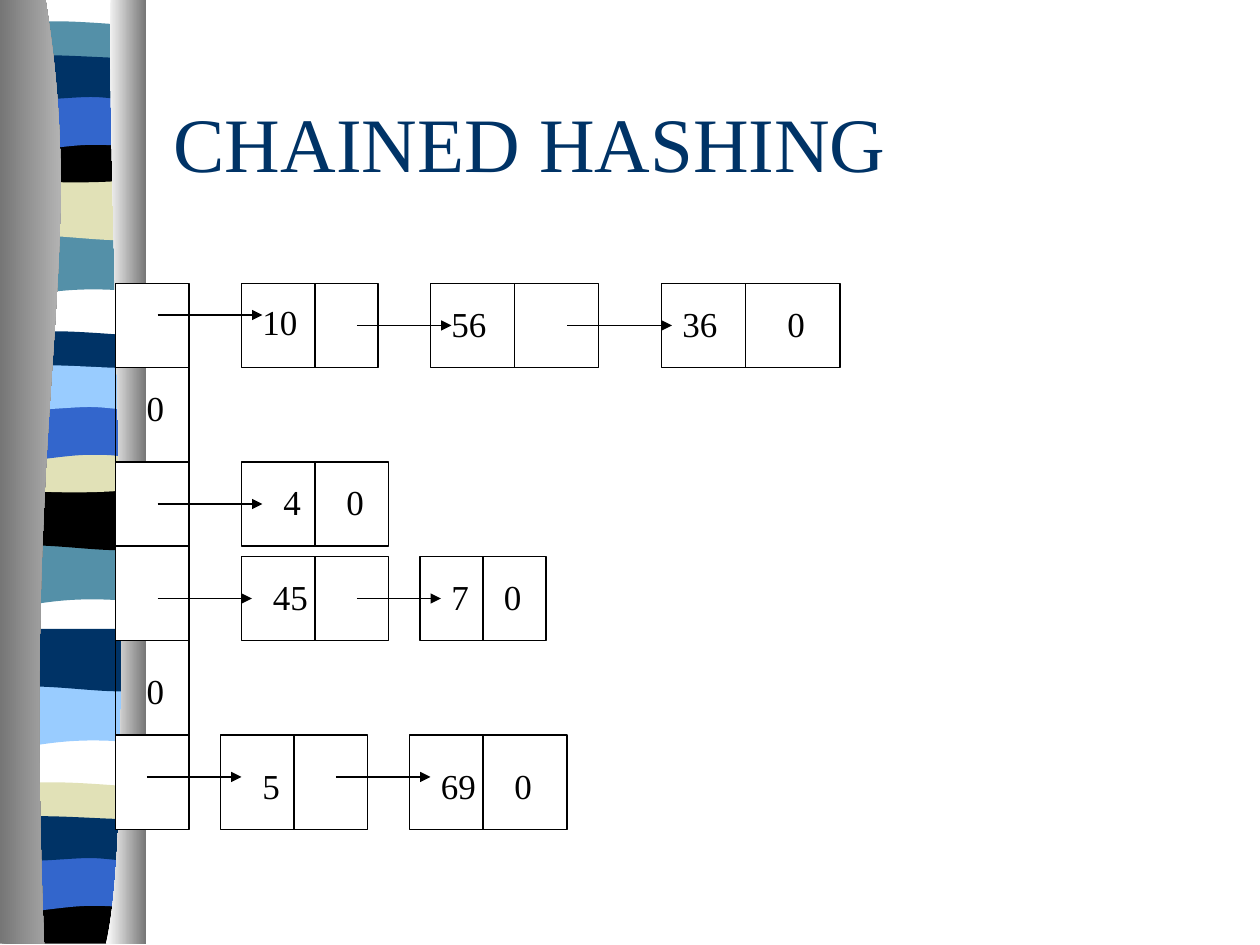
"""Build the chained hashing slide."""
from lxml import etree
from pptx import Presentation
from pptx import util as u
from pptx.dml.color import RGBColor
from pptx.enum import shapes as s, text as t
from pptx.oxml.ns import qn

FONT = "Times New Roman"
LEFT, RIGHT = 0.06, 1.14
WAVES = {
    "dip": ([(RIGHT, 0.47), (0.39, 0.39), (0.24, 0.55), (LEFT, 0.47)], []),
    "roll": ([(RIGHT, 0.47), (0.96, 0.55), (0.39, 0.42), (LEFT, 0.47)], []),
    "thin": ([(RIGHT, 0.24), (0.96, 0.28), (0.24, 0.28), (LEFT, 0.24)],
             [(LEFT, 0), (0.12, -0.05), (0.29, -0.04), (0.47, -0.04),
              (0.65, -0.04), (1, -0.01), (RIGHT, 0)]),
    "bowl": ([(RIGHT, 0.33), (0.96, 0.38), (0.24, 0.38), (LEFT, 0.33)],
             [(LEFT, 0), (0.72, 0.05), (0.91, 0), (RIGHT, 0)]),
    "last": ([(RIGHT, 0.37), (LEFT, 0.37)],
             [(LEFT, 0), (0.72, 0.05), (0.91, 0), (RIGHT, 0)]),
    "arch": ([(RIGHT, 0.47), (0.97, 0.41), (0.9, 0.41), (0.72, 0.41),
              (0.54, 0.41), (0.22, 0.47), (LEFT, 0.47)], []),
    "flat": ([(RIGHT, 0.31), (1.07, 0.36), (0.9, 0.31), (0.72, 0.31),
              (0.54, 0.31), (0.17, 0.36), (LEFT, 0.31)],
             [(LEFT, 0), (0.21, -0.05), (0.79, 0), (0.97, 0),
              (1.15, 0), (1.1, 0), (RIGHT, 0)]),
}
BANDS = [
    ("dip", 1.85, ["5490A8", "5490A8", "99CCFF"]),
    ("roll", 1.41, ["E1E1B7", "000000", "003366"]),
    ("thin", 0.21, ["5490A8", "003366", "E1E1B7"]),
    ("bowl", 1.08, ["000000", "E1E1B7", "000000"]),
    ("arch", 0.74, ["3366CC", "3366CC", "3366CC"]),
    ("flat", 0.46, ["003366", "99CCFF", "003366"]),
]
SLOTS = [(27, 8, True), (35, 9, False), (44, 8, True),
         (52, 9, True), (61, 9, False), (70, 9, True)]
CELLS = [(23, 7), (30, 6), (41, 8), (49, 8), (63, 8), (71, 9)]
NODES = [(23, 44, 14, 8, 30), (23, 53, 14, 8, 30), (40, 53, 12, 8, 46),
         (21, 70, 14, 9, 28), (39, 70, 15, 9, 46)]
ARROWS = [(15, 25, 30), (34, 43, 31), (54, 64, 31), (15, 25, 48),
          (15, 24, 57), (34, 42, 57), (14, 23, 74), (32, 41, 74)]
KEYS = [
    (27.8, [(25, "10")]),
    (28, [(43, "56"), (65, "36"), (75, "0")]),
    (36, [(14, "0")]),
    (45, [(27, "4"), (33, "0")]),
    (54, [(26, "45"), (43, "7"), (48, "0")]),
    (63, [(14, "0")]),
    (72, [(25, "5"), (42, "69"), (49, "0")]),
]


def inch(num):
    """Turn inches into a length."""
    return u.Cm(2.54 * num)


def step(num):
    """Turn grid steps of a twelfth of an inch into a length."""
    return inch(num / 12)


def paint(code):
    """Turn a hex string into a colour."""
    return RGBColor.from_string(code)


def curve(pts):
    """Split points into a start and cubic curves of three points."""
    return [pts[:1]] + [pts[i:i + 3] for i in range(1, len(pts), 3)]


def outline(slide, parts, dx=0, dy=0):
    """Draw a closed shape; parts of three points become curves."""
    ends = [(inch(x + dx), inch(y + dy)) for part in parts for x, y in part]
    form = slide.shapes.build_freeform(*ends[0])
    form.add_line_segments(ends[1:], close=True)
    shape = form.convert_to_shape()
    marks = iter(list(shape._element.iter(qn("a:moveTo"), qn("a:lnTo"))))
    for part in parts:
        group = [next(marks) for _ in part]
        if len(group) == 3:
            bend = etree.Element(qn("a:cubicBezTo"))
            group[0].addprevious(bend)
            for mark in group:
                bend.append(mark[0])
                mark.getparent().remove(mark)
    shape.shadow.inherit = False
    shape.line.fill.background()
    return shape


def band(slide, kind, top, code, shift):
    """Draw one wavy band of the ribbon."""
    base, cap = WAVES[kind]
    low = [[pt] for pt in base] if kind == "last" else curve(base)
    high = curve(cap) if cap else [[(LEFT, 0)], [(RIGHT, 0)]]
    shape = outline(slide, low + high, shift, top)
    shape.fill.solid()
    shape.fill.fore_color.rgb = paint(code)


def pillar(slide, edge, side, codes):
    """Draw a shaded pillar with one curved edge."""
    shape = outline(slide, curve(edge) + [[(side, 7.49)], [(side, -0.01)]])
    shape.fill.gradient()
    shape.fill.gradient_angle = 0
    for stop, code in zip(shape.fill.gradient_stops, codes):
        stop.color.rgb = paint(code)


def box(slide, x, y, wide, high, fill=None):
    """Draw a thin black box on the grid."""
    shape = slide.shapes.add_shape(s.MSO_SHAPE.RECTANGLE, step(x), step(y),
                                   step(wide), step(high))
    shape.shadow.inherit = False
    shape.line.color.rgb = paint("000000")
    shape.line.width = u.Pt(0.75)
    if fill:
        shape.fill.solid()
        shape.fill.fore_color.rgb = paint(fill)
    else:
        shape.fill.background()
    return shape


def line(slide, x, y, right, low, head=False):
    """Draw a thin black line, with an arrowhead if asked."""
    link = slide.shapes.add_connector(s.MSO_CONNECTOR.STRAIGHT, step(x),
                                      step(y), step(right), step(low))
    link.line.color.rgb = paint("000000")
    link.line.width = u.Pt(0.75)
    if head:
        etree.SubElement(link.line._get_or_add_ln(), qn("a:tailEnd"),
                         type="triangle")
    etree.SubElement(link._element.spPr, qn("a:effectLst"))
    return link


def node(slide, x, y, wide, high, mid):
    """Draw a list node split into key and link."""
    shape = box(slide, x, y, wide, high)
    link = line(slide, mid, y, mid, y + high)
    if 2 * mid == 2 * x + wide:
        link.begin_connect(shape, 0)
        link.end_connect(shape, 2)


def write(slide, words, x, y, wide, high, size=20, code="000000",
          wrap=False, anchor=t.MSO_ANCHOR.TOP):
    """Place a line of text, measured in inches."""
    frame = slide.shapes.add_textbox(inch(x), inch(y), inch(wide),
                                     inch(high)).text_frame
    frame.word_wrap = wrap
    frame.vertical_anchor = anchor
    run = frame.paragraphs[0].add_run()
    run.text = words
    run.font.size = u.Pt(size)
    run.font.name = FONT
    run.font.color.rgb = paint(code)


def ribbon(slide):
    """Draw the banded ribbon and its pillars."""
    for i in range(3):
        for kind, top, codes in BANDS:
            wide = kind in ("dip", "roll")
            drop = (0, 2.46, 3.58 if wide else 6.04)[i]
            shift = -0.01 if i == 1 or i == 2 and not wide else 0
            name = "last" if i == 2 and kind == "bowl" else kind
            band(slide, name, top + drop, codes[i], shift)
    pillar(slide, [(0.36, -0.01), (0.71, 2.16), (0.17, 2.96), (0.35, 7.49)],
           0, ["767676", "D1D1D1"])
    pillar(slide, [(0.88, -0.01), (0.84, 1.25), (1.11, 6.46), (0.84, 7.49)],
           1.16, ["FFFFFF", "767676"])


def main():
    """Build and save the slide."""
    deck = Presentation()
    deck.slide_width, deck.slide_height = inch(10), inch(7.5)
    slide = deck.slides.add_slide(deck.slide_layouts[6])
    ribbon(slide)
    write(slide, "CHAINED HASHING", 1.28, 0.5, 8.5, 1.25, size=44,
          code="003366", wrap=True, anchor=t.MSO_ANCHOR.MIDDLE)
    for y, high, full in SLOTS:
        box(slide, 11, y, 7, high, "FFFFFF" if full else None)
    for x, wide in CELLS:
        box(slide, x, 27, wide, 8)
    for item in NODES:
        node(slide, *item)
    line(slide, 47, 70, 46, 70)
    for x, right, y in ARROWS:
        line(slide, x, y, right, y, head=True)
    for y, row in KEYS:
        for x, key in row:
            write(slide, key, x / 12 - 0.1, (y + 0.2) / 12,
                  0.2 + 0.14 * len(key), 0.44)
    deck.save("out.pptx")


if __name__ == "__main__":
    main()
